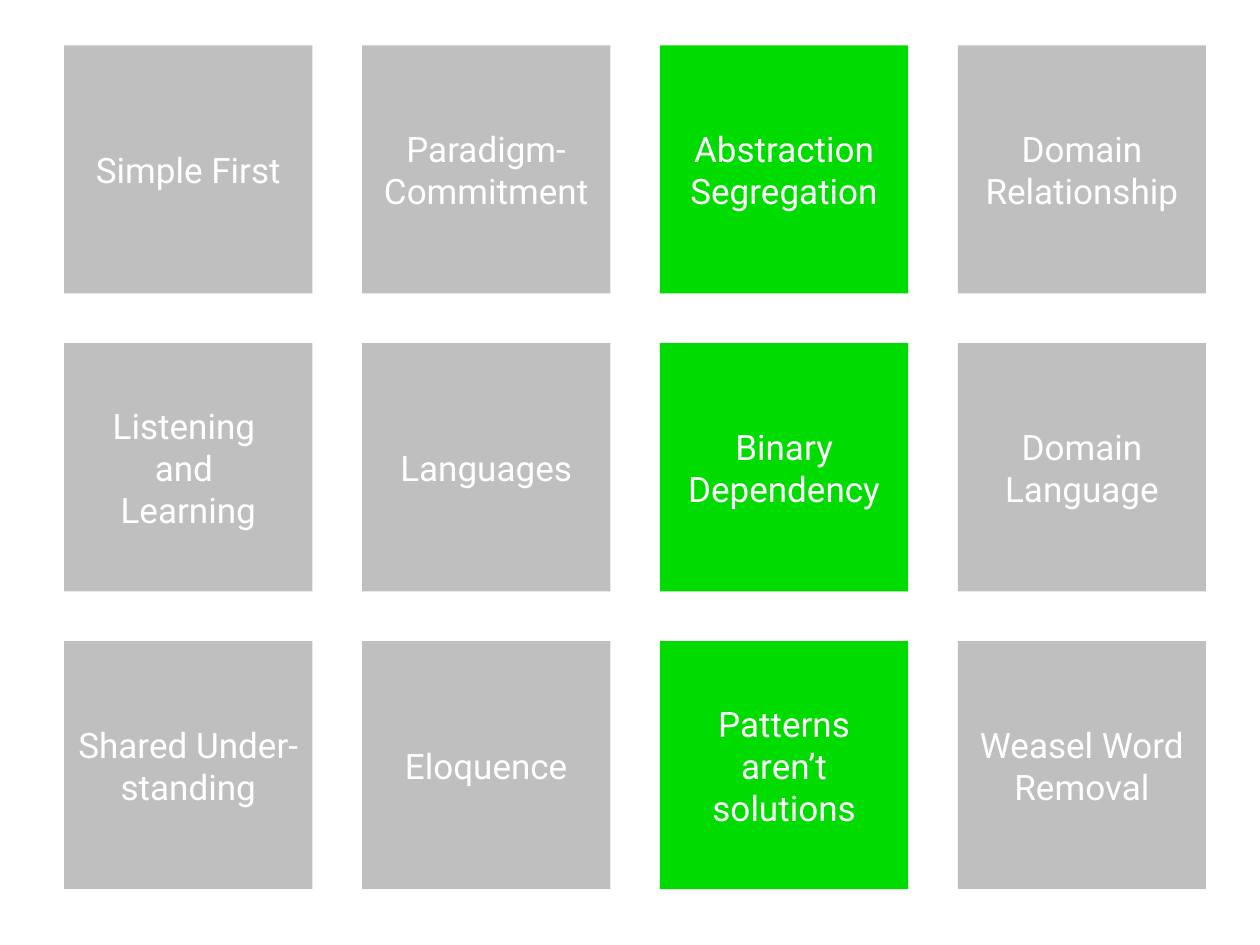
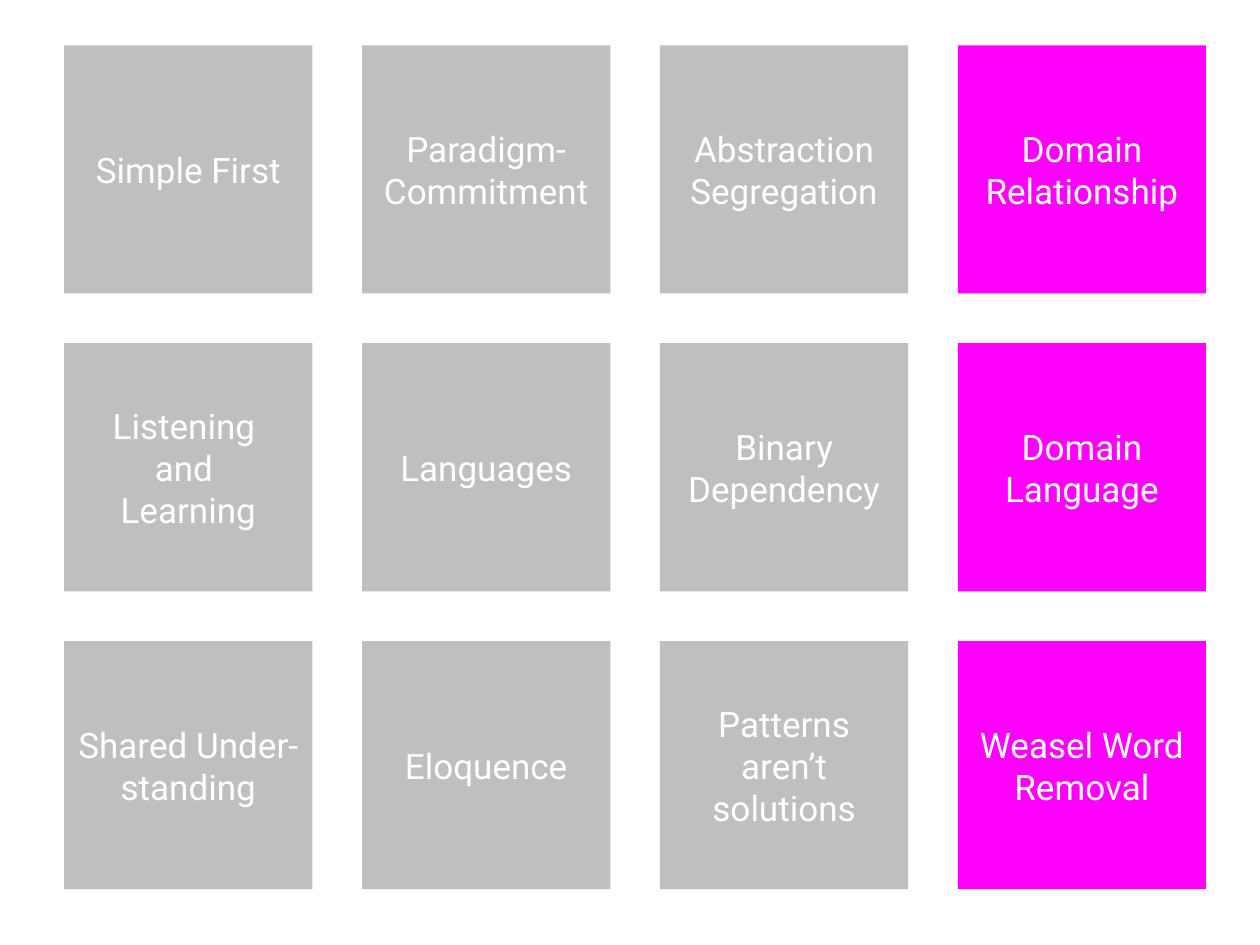
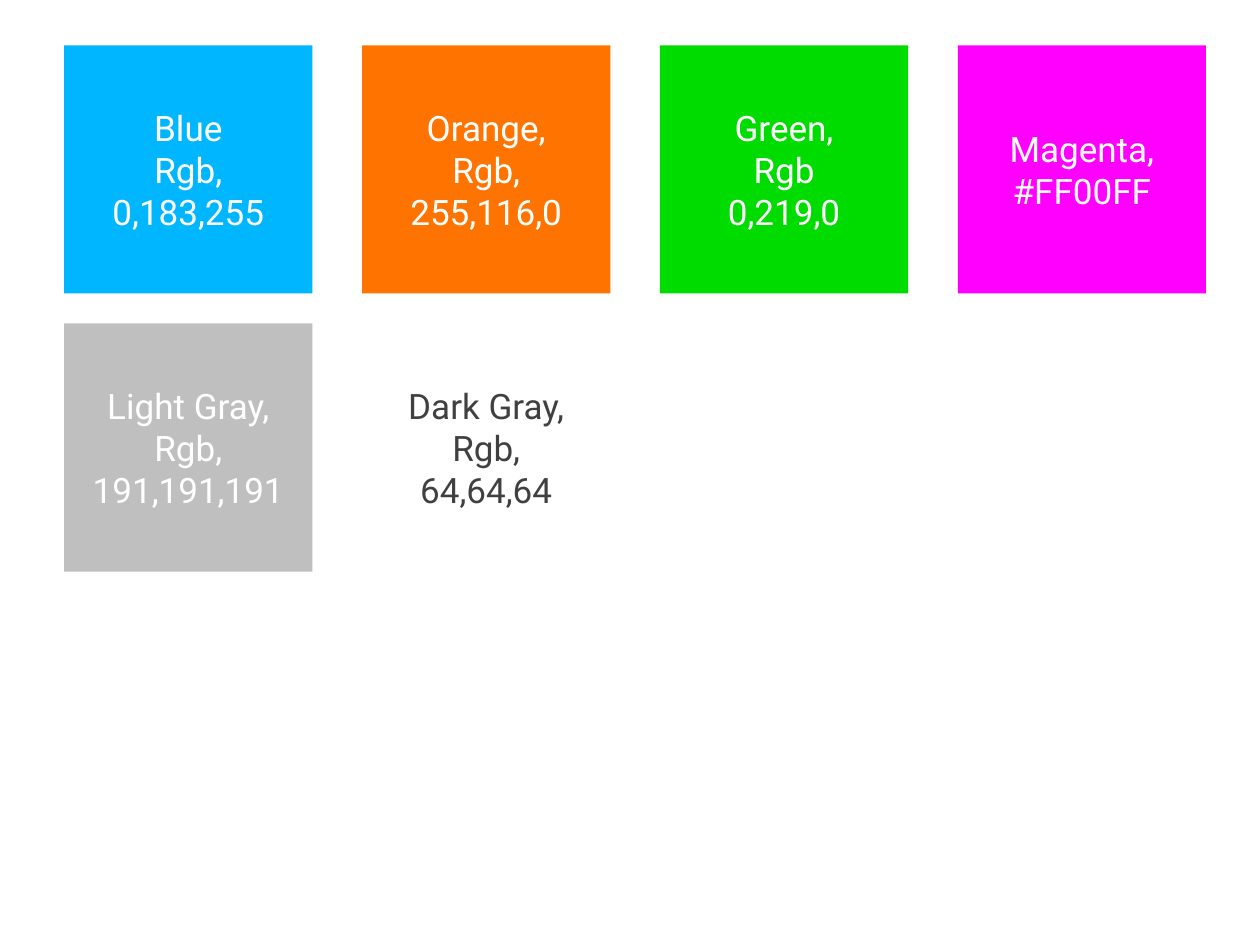
import dataclasses

import pptx
import pptx.dml.color
import pptx.enum.shapes
import pptx.enum.text
import pptx.util


@dataclasses.dataclass(frozen=True)
class Theme:
    blue: str = "00B7FF"
    orange: str = "FF7400"
    green: str = "00DB00"
    pink: str = "FF00FF"
    light: str = "BFBFBF"
    dark: str = "404040"
    white: str = "FFFFFF"
    font: str = "Roboto"
    size: int = 20
    # Grid: first corner and tile side in inches, gaps as shares of a tile
    left: float = 0.51
    top: float = 0.36
    side: float = 1.97
    gap: float = 0.2
    tight: float = 0.12


def paint(hue):
    return pptx.dml.color.RGBColor.from_string(hue)


def write(frame, text, *, font, size, hue):
    """Fill a frame with centred text: one string, or a tuple of paragraphs."""
    frame.word_wrap = True
    frame.vertical_anchor = pptx.enum.text.MSO_ANCHOR.MIDDLE
    lines = (text,) if isinstance(text, str) else text
    for i, line in enumerate(lines):
        para = frame.add_paragraph() if i else frame.paragraphs[0]
        para.text = line
        para.alignment = pptx.enum.text.PP_ALIGN.CENTER
        for run in para.runs:
            run.font.name = font
            run.font.size = pptx.util.Pt(size)
            run.font.color.rgb = paint(hue)


class Deck:
    def __init__(self, theme):
        self.theme = theme
        self.show = pptx.Presentation()
        self.show.slide_width = pptx.util.Inches(10)
        self.show.slide_height = pptx.util.Inches(7.5)
        self.slide = None

    def page(self):
        self.slide = self.show.slides.add_slide(self.show.slide_layouts[6])
        back = self.slide.background.fill
        back.solid()
        back.fore_color.rgb = paint(self.theme.white)

    def tile(self, col, row, text, fill, ink=None, gap=None):
        """Draw a square at a grid column and row; gap sets the row spacing."""
        look = self.theme
        gap = look.gap if gap is None else gap
        side = pptx.util.Inches(look.side)
        x = pptx.util.Inches(look.left + col * look.side * (1 + look.gap))
        y = pptx.util.Inches(look.top + row * look.side * (1 + gap))
        box = self.slide.shapes.add_shape(
            pptx.enum.shapes.MSO_SHAPE.RECTANGLE, x, y, side, side)
        box.shadow.inherit = False
        box.fill.solid()
        box.fill.fore_color.rgb = paint(fill)
        box.line.fill.background()
        write(box.text_frame, text, font=look.font, size=look.size,
              hue=ink or look.white)

    def board(self, rows, lit, fill):
        """Draw a page of grey tiles with one column lit."""
        self.page()
        for row, texts in enumerate(rows):
            for col, text in enumerate(texts):
                self.tile(col, row, text,
                          fill if col == lit else self.theme.light)


RULES = (
    ("Simple First", "Paradigm-Commitment",
     "Abstraction Segregation", "Domain Relationship"),
    ("Listening \nand \nLearning", "Languages",
     "Binary Dependency", "Domain Language"),
    ("Shared Under-standing", "Eloquence",
     "Patterns aren’t solutions", "Weasel Word Removal"),
)


def main():
    look = Theme()
    deck = Deck(look)

    # Rule boards
    deck.board(RULES, 2, look.green)
    deck.board(RULES, 3, look.pink)

    # Colour key
    deck.page()
    brights = (
        (("Blue", "Rgb,", "0,183,255"), look.blue),
        (("Orange,", "Rgb,", "255,116,0"), look.orange),
        (("Green,", "Rgb", "0,219,0"), look.green),
        (("Magenta,", "#FF00FF"), look.pink),
    )
    for col, (text, fill) in enumerate(brights):
        deck.tile(col, 0, text, fill)
    deck.tile(0, 1, ("Light Gray,", "Rgb,\n191,191,191"), look.light,
              gap=look.tight)
    deck.tile(1, 1, ("Dark Gray,", "Rgb,", "64,64,64"), look.white,
              ink=look.dark, gap=look.tight)

    deck.show.save("out.pptx")


if __name__ == "__main__":
    main()
